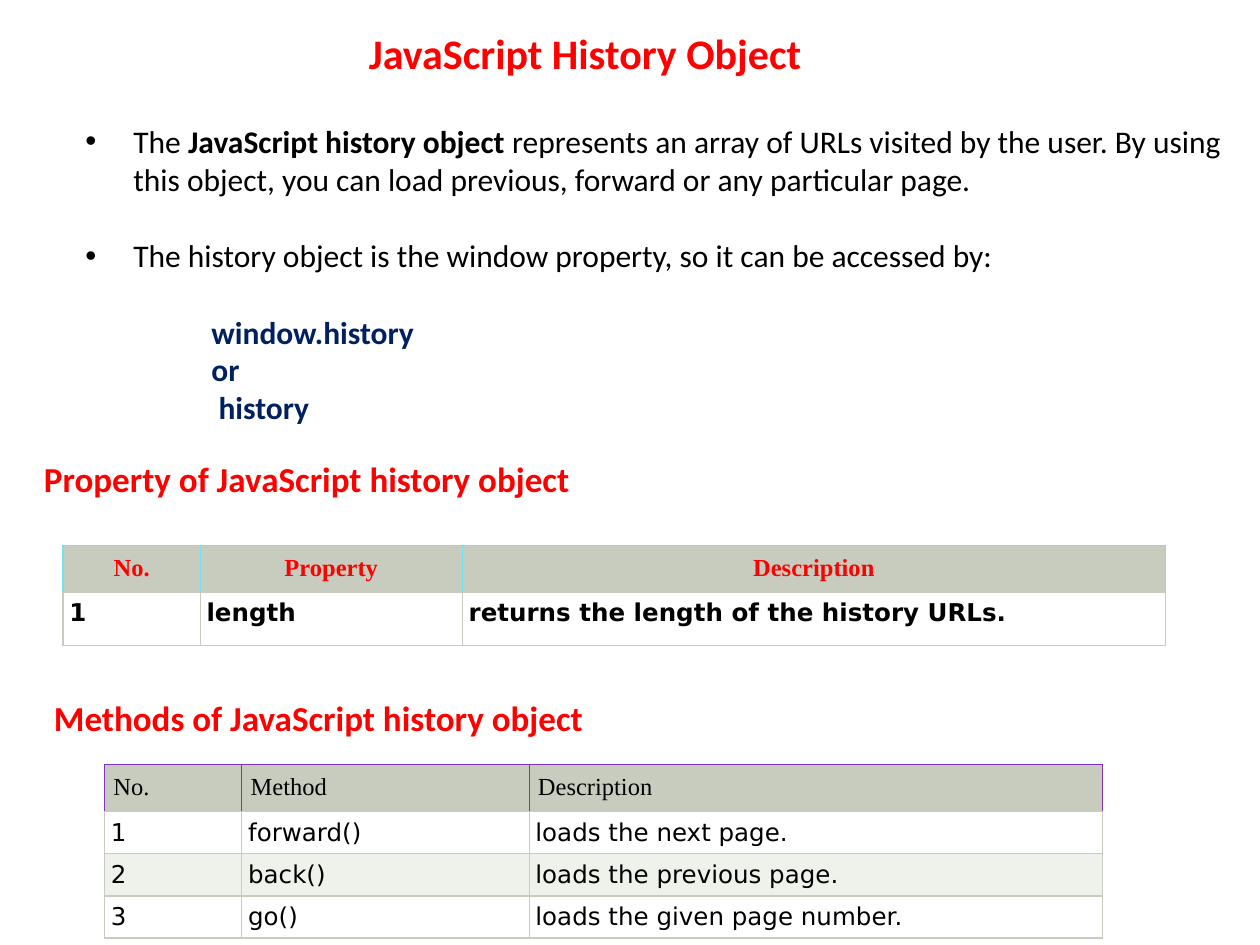
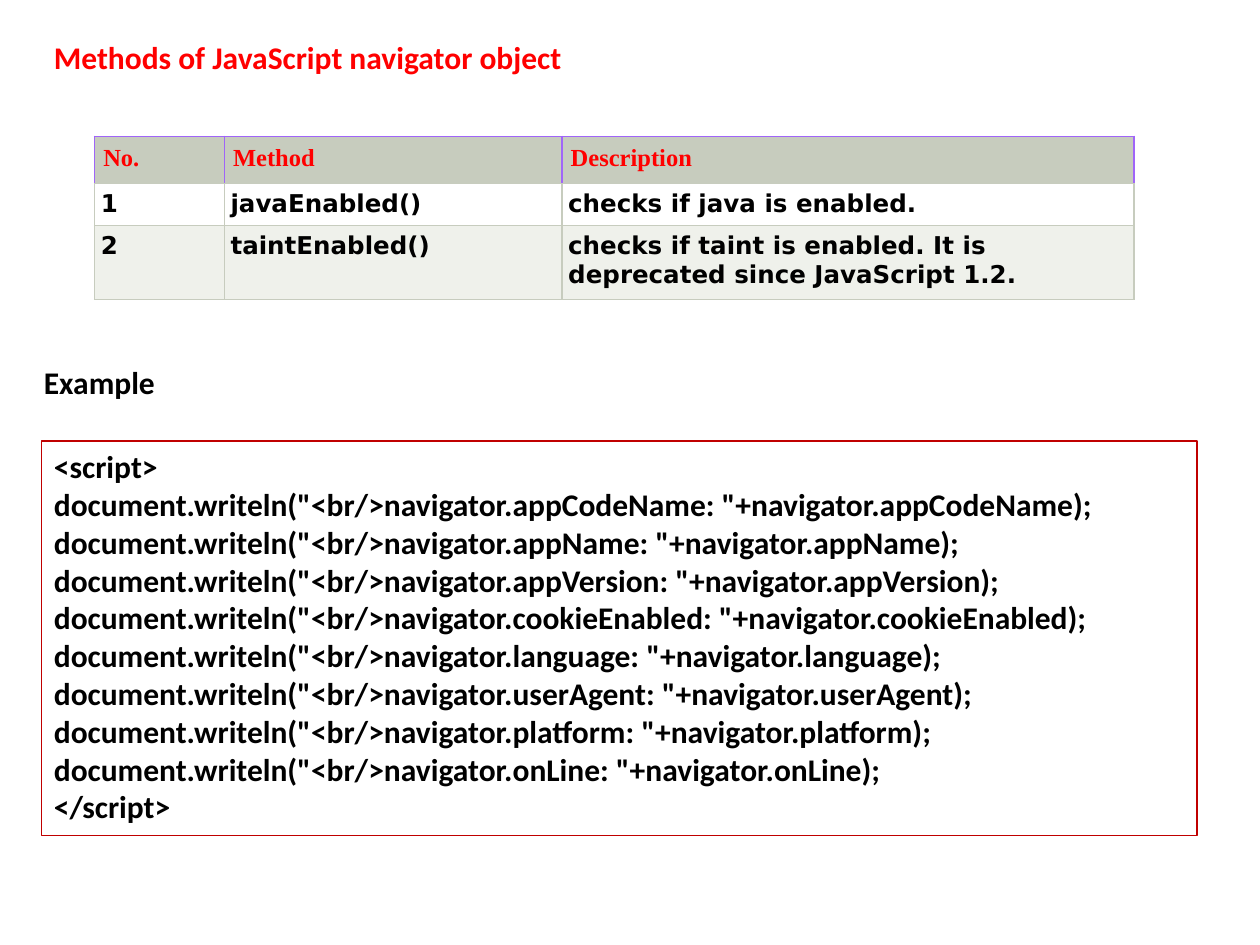
from dataclasses import dataclass

from lxml.etree import SubElement
from pptx import Presentation
from pptx.dml.color import RGBColor
from pptx.enum.shapes import MSO_SHAPE
from pptx.enum.text import MSO_ANCHOR, PP_ALIGN
from pptx.oxml.ns import qn
from pptx.util import Inches, Pt


@dataclass(frozen=True)
class Theme:
    red: str = "FF0000"
    black: str = "000000"
    white: str = "FFFFFF"
    navy: str = "002060"
    frame: str = "C00000"
    rule: str = "C7CCBE"
    band: str = "EFF1EB"
    cyan: str = "70E3F1"
    purple: str = "8032BD"
    violet: str = "A065F8"
    sans: str = "Calibri"
    serif: str = "Times New Roman"
    mono: str = "DejaVu Sans"
    title: int = 24
    head: int = 20
    body: int = 18
    cell: int = 14
    gap: int = 22


THEME = Theme()
HEAD_ROW, BODY_ROW = 0.37, 0.33


def style(para, size, color, bold=False, face=THEME.sans):
    for run in para.runs:
        font = run.font
        font.name, font.size, font.bold = face, Pt(size), bold
        font.color.rgb = RGBColor.from_string(color)


def add_head(slide, box, text, size, color=THEME.red):
    """Add a one-line bold heading."""
    frame = slide.shapes.add_textbox(*map(Inches, box)).text_frame
    frame.word_wrap = False
    frame.text = text
    style(frame.paragraphs[0], size, color, bold=True)


def indent(para, left, hang=0, bullet=None):
    props = para._p.get_or_add_pPr()
    props.set("marL", str(Inches(left)))
    props.set("indent", str(-Inches(hang)))
    if bullet:
        SubElement(props, qn("a:buFont"), typeface="Arial")
        SubElement(props, qn("a:buChar"), char=bullet)


def add_intro(slide, box, points, code):
    """Add bullets made of (text, bold) parts, then indented lines of code."""
    frame = slide.shapes.add_textbox(*map(Inches, box)).text_frame
    frame.word_wrap = True
    for i, parts in enumerate(points):
        para = frame.add_paragraph() if i else frame.paragraphs[0]
        indent(para, 0.38, 0.38, "•")
        if i:
            para.space_before = Pt(THEME.gap)
        for text, bold in parts:
            para.add_run().text = text
        style(para, THEME.body, THEME.black)
        for run, (_, bold) in zip(para.runs, parts):
            run.font.bold = bold
    for i, line in enumerate(code):
        para = frame.add_paragraph()
        indent(para, 1)
        if not i:
            para.space_before = Pt(THEME.gap)
        para.text = line
        style(para, THEME.body, THEME.navy, bold=True)


def set_edges(cell, color):
    """Draw the left, right and top edges in color, the bottom one as a rule."""
    props = cell._tc.get_or_add_tcPr()
    for side in "LRTB":
        edge = SubElement(props, qn(f"a:ln{side}"), w=str(Pt(0.75)))
        fill = SubElement(edge, qn("a:solidFill"))
        SubElement(fill, qn("a:srgbClr"), val=THEME.rule if side == "B" else color)


def set_cell(cell, text, edge, fill, pad):
    set_edges(cell, edge)
    cell.fill.solid()
    cell.fill.fore_color.rgb = RGBColor.from_string(fill)
    cell.margin_left = cell.margin_right = Inches(pad)
    cell.margin_top = cell.margin_bottom = Inches(pad)
    cell.text = text
    return cell.text_frame.paragraphs[0]


def add_grid(slide, spot, widths, rows, edge, ink=THEME.red, bold=True,
             align=PP_ALIGN.LEFT, last=BODY_ROW):
    """Add a table with a serif header row and banded body rows."""
    heights = [HEAD_ROW] + [BODY_ROW] * (len(rows) - 2) + [last]
    size = sum(widths), sum(heights)
    table = slide.shapes.add_table(
        len(rows), len(widths), *map(Inches, (*spot, *size))).table
    for col, width in zip(table.columns, widths):
        col.width = Inches(width)
    for r, (row, height) in enumerate(zip(rows, heights)):
        table.rows[r].height = Inches(height)
        for c, text in enumerate(row):
            cell = table.cell(r, c)
            if r == 0:
                para = set_cell(cell, text, edge, THEME.rule, 0.07)
                para.alignment = align
                style(para, THEME.cell, ink, bold, THEME.serif)
            else:
                fill = THEME.white if r % 2 else THEME.band
                para = set_cell(cell, text, THEME.rule, fill, 0.05)
                style(para, THEME.cell, THEME.black, bold, THEME.mono)


def add_code(slide, box, lines):
    shape = slide.shapes.add_shape(MSO_SHAPE.RECTANGLE, *map(Inches, box))
    shape.shadow.inherit = False
    shape.fill.background()
    shape.line.color.rgb = RGBColor.from_string(THEME.frame)
    shape.line.width = Pt(0.75)
    frame = shape.text_frame
    frame.word_wrap = True
    frame.vertical_anchor = MSO_ANCHOR.TOP
    frame.text = "\n".join(lines)
    for para in frame.paragraphs:
        para.alignment = PP_ALIGN.LEFT
        style(para, THEME.body, THEME.black, bold=True)


def build_history(slide):
    add_head(slide, (2.83, 0.17, 3.67, 0.5), "JavaScript History Object", THEME.title)
    points = [
        [("The ", False), ("JavaScript history object", True),
         (" represents an array of URLs visited by the user. By using this object, "
          "you can load previous, forward or any particular page.", False)],
        [("The history object is the window property, so it can be accessed by:", False)],
    ]
    add_intro(slide, (0.58, 0.92, 9.42, 2.52), points,
              ["window.history", "or", " history"])
    add_head(slide, (0.25, 3.58, 4.41, 0.44),
             "Property of JavaScript history object", THEME.head)
    add_grid(slide, (0.5, 4.33), (1.09, 2.08, 5.58), [
        ("No.", "Property", "Description"),
        ("1", "length", "returns the length of the history URLs."),
    ], THEME.cyan, align=PP_ALIGN.CENTER, last=0.42)
    add_head(slide, (0.33, 5.48, 4.44, 0.44),
             "Methods of JavaScript history object", THEME.head)
    add_grid(slide, (0.83, 6.07), (1.09, 2.28, 4.55), [
        ("No.", "Method", "Description"),
        ("1", "forward()", "loads the next page."),
        ("2", "back()", "loads the previous page."),
        ("3", "go()", "loads the given page number."),
    ], THEME.purple, ink=THEME.black, bold=False)


def build_navigator(slide):
    add_head(slide, (0.33, 0.25, 4.27, 0.4),
             "Methods of JavaScript navigator object", THEME.body)
    add_grid(slide, (0.75, 1.08), (1.03, 2.68, 4.54), [
        ("No.", "Method", "Description"),
        ("1", "javaEnabled()", "checks if java is enabled."),
        ("2", "taintEnabled()",
         "checks if taint is enabled. It is deprecated since JavaScript 1.2."),
    ], THEME.violet, last=0.59)
    add_head(slide, (0.25, 2.83, 1.09, 0.4), "Example", THEME.body, THEME.black)
    fields = ("appCodeName", "appName", "appVersion", "cookieEnabled",
              "language", "userAgent", "platform", "onLine")
    calls = [f'document.writeln("<br/>navigator.{name}: "+navigator.{name});'
             for name in fields]
    add_code(slide, (0.33, 3.5, 9.17, 3.13), ["<script>", *calls, "</script>"])


def main():
    deck = Presentation()
    deck.slide_width, deck.slide_height = Inches(10), Inches(7.5)
    for build in (build_history, build_navigator):
        build(deck.slides.add_slide(deck.slide_layouts[6]))
    deck.save("out.pptx")


if __name__ == "__main__":
    main()
